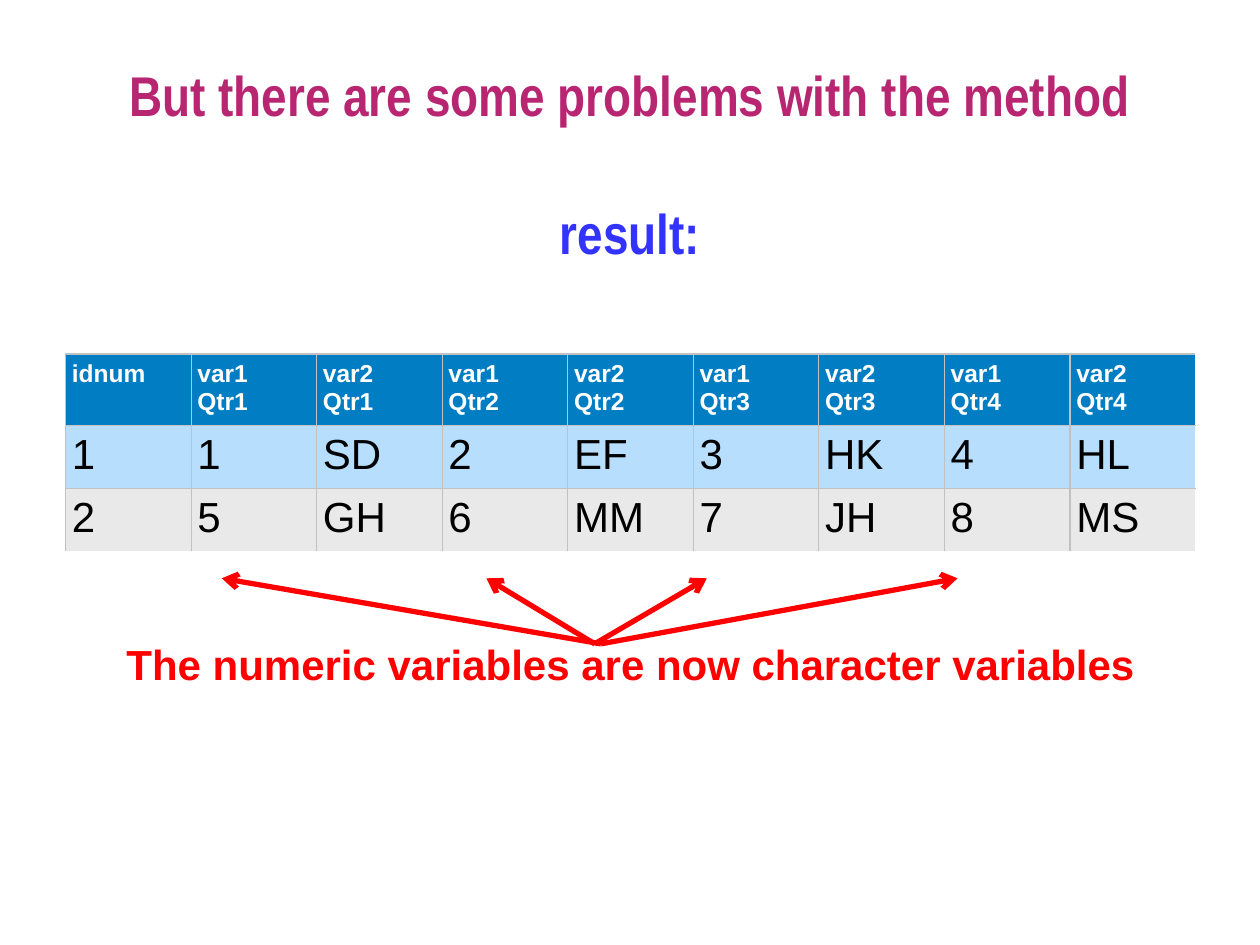
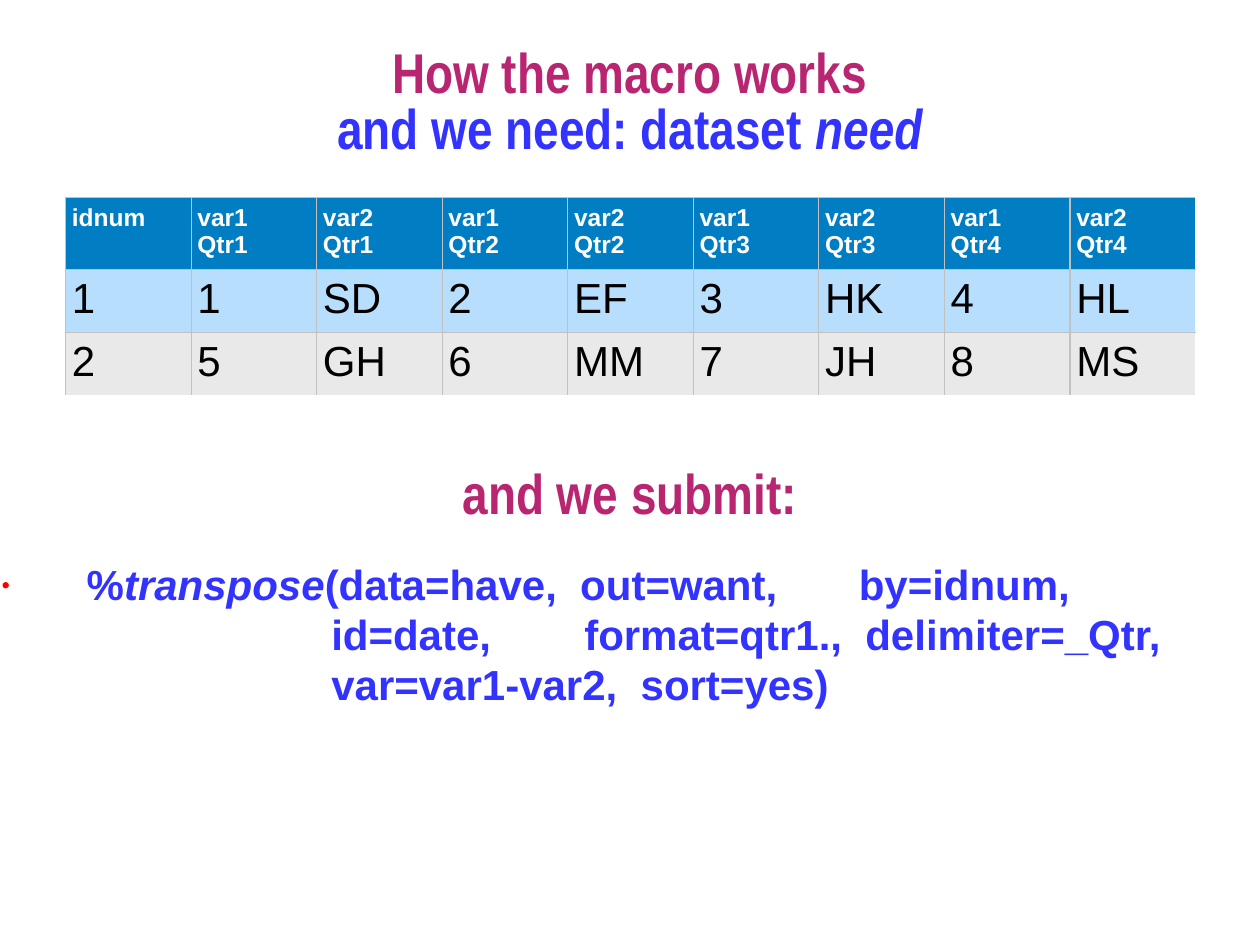
from lxml.etree import SubElement
from pptx import Presentation
from pptx.dml.color import RGBColor
from pptx.enum.shapes import MSO_CONNECTOR, MSO_SHAPE
from pptx.enum.text import MSO_ANCHOR, PP_ALIGN
from pptx.oxml import parse_xml
from pptx.oxml.ns import nsdecls, qn
from pptx.util import Inches, Pt

# Shared look
COLORS = {
    "title": "B82672", "accent": "3333FF", "alert": "FF0000",
    "header": "007DC3", "border": "C1C1C1", "white": "FFFFFF", "black": "000000",
}
ROW_FILLS = ["007DC3", "B8DEFE", "E9E9E9"]
ROW_HEIGHTS = [0.54, 0.48, 0.48]
TABLE_LEFT, TABLE_WIDTH = 0.52, 8.97

HEADING = {"name": "Arial Narrow", "size": Pt(32), "bold": True}
BODY = {"name": "Arial", "size": Pt(24), "bold": True}
HEADER_CELL = {"name": "Arial", "size": Pt(14), "bold": True}
DATA_CELL = {"name": "Arial", "size": Pt(24), "bold": False}

# Content: a run is (text, colour key, extra font values)
QUARTERS = ["Qtr1", "Qtr2", "Qtr3", "Qtr4"]
TABLE_ROWS = [
    ["idnum"] + [f"{name}\n{quarter}" for quarter in QUARTERS for name in ("var1", "var2")],
    ["1", "1", "SD", "2", "EF", "3", "HK", "4", "HL"],
    ["2", "5", "GH", "6", "MM", "7", "JH", "8", "MS"],
]

PROBLEM_TITLE = [[("But there are some problems with the method", "title", {})]]
RESULT_HEADING = [[("result:", "accent", {})]]
CAPTION = [[("The numeric variables are now character variables", "alert", {})]]
ARROWS = [(4.77, 1.76), (4.72, 3.86), (4.72, 5.61), (4.77, 7.6)]  # start x, tip x
ARROW_START_Y, ARROW_TIP_Y = 5.11, 4.59

MACRO_TITLE = [
    [("How the macro works", "title", {})],
    [("and we need: dataset ", "accent", {}), ("need", "accent", {"italic": True})],
]
SUBMIT_HEADING = [[("and we submit:", "title", {})]]
CODE_INDENT = " " * 21
MACRO_CALL = [
    [("%", "accent", {}), ("transpose", "accent", {"italic": True}),
     ("(data=have,  out=want,       by=idnum,", "accent", {})],
    [(CODE_INDENT + "id=date,        format=qtr1.,  delimiter=_Qtr,", "accent", {})],
    [(CODE_INDENT + "var=var1-var2,  sort=yes)", "accent", {})],
]


def rgb(key):
    return RGBColor.from_string(COLORS.get(key, key))


def apply_font(font, color, values):
    for name, value in values.items():
        setattr(font, name, value)
    font.color.rgb = rgb(color)


def write_text(frame, lines, style, paragraph_format):
    frame.word_wrap = True
    frame.vertical_anchor = MSO_ANCHOR.TOP
    for index, runs in enumerate(lines):
        paragraph = frame.paragraphs[0] if index == 0 else frame.add_paragraph()
        for name, value in paragraph_format.items():
            setattr(paragraph, name, value)
        for text, color, extra in runs:
            run = paragraph.add_run()
            run.text = text
            apply_font(run.font, color, {**style, **extra})


def add_heading(slide, lines, top, height):
    box = slide.shapes.add_textbox(0, Inches(top), Inches(10), Inches(height))
    write_text(box.text_frame, lines, HEADING,
               {"alignment": PP_ALIGN.CENTER, "line_spacing": 0.83})


def add_filled_shape(slide, preset, place, fill):
    shape = slide.shapes.add_shape(preset, *map(Inches, place))
    shape.shadow.inherit = False
    shape.fill.solid()
    shape.fill.fore_color.rgb = rgb(fill)
    shape.line.fill.background()
    return shape


def set_borders(cell, sides):
    properties = cell._tc.get_or_add_tcPr()
    for index, side in enumerate(sides):
        properties.insert(index, parse_xml(
            f'<a:ln{side} {nsdecls("a")} w="9525"><a:solidFill>'
            f'<a:srgbClr val="{COLORS["border"]}"/></a:solidFill></a:ln{side}>'))


def add_data_table(slide, top):
    row_count, column_count = len(TABLE_ROWS), len(TABLE_ROWS[0])
    table = slide.shapes.add_table(
        row_count, column_count, Inches(TABLE_LEFT), Inches(top),
        Inches(TABLE_WIDTH), Inches(sum(ROW_HEIGHTS))).table
    table.first_row = table.horz_banding = False
    for column in table.columns:
        column.width = Inches(TABLE_WIDTH / column_count)
    for r, values in enumerate(TABLE_ROWS):
        table.rows[r].height = Inches(ROW_HEIGHTS[r])
        style, color = (DATA_CELL, "black") if r else (HEADER_CELL, "white")
        for c, value in enumerate(values):
            cell = table.cell(r, c)
            for side in ("left", "right", "top", "bottom"):
                setattr(cell, f"margin_{side}", Inches(0.05))
            cell.fill.solid()
            cell.fill.fore_color.rgb = rgb(ROW_FILLS[r])
            lines = [[(line, color, {})] for line in value.split("\n")]
            write_text(cell.text_frame, lines, style, {})
            # The table's right and bottom edges stay open
            sides = ["L"] + ["R"] * (c < column_count - 1) + ["T"] + ["B"] * (r < row_count - 1)
            set_borders(cell, sides)


def add_arrow(slide, start_x, tip_x):
    arrow = slide.shapes.add_connector(
        MSO_CONNECTOR.STRAIGHT, Inches(start_x), Inches(ARROW_START_Y),
        Inches(tip_x), Inches(ARROW_TIP_Y))
    arrow.line.color.rgb = rgb("alert")
    arrow.line.width = Pt(3)
    SubElement(arrow.line._get_or_add_ln(), qn("a:tailEnd"), type="arrow")
    SubElement(arrow._element.spPr, qn("a:effectLst"))


def build_problem_slide(slide):
    add_heading(slide, RESULT_HEADING, 1.62, 0.61)
    add_data_table(slide, 2.81)
    add_heading(slide, PROBLEM_TITLE, 0.52, 0.61)
    caption = add_filled_shape(slide, MSO_SHAPE.RECTANGLE, (0.8, 5.02, 8.41, 0.5), "white")
    write_text(caption.text_frame, CAPTION, BODY, {"alignment": PP_ALIGN.CENTER})
    for start_x, tip_x in ARROWS:
        add_arrow(slide, start_x, tip_x)


def build_macro_slide(slide):
    add_heading(slide, MACRO_TITLE, 0.34, 0.98)
    add_data_table(slide, 1.57)
    add_heading(slide, SUBMIT_HEADING, 3.68, 0.62)
    code = slide.shapes.add_textbox(Inches(0.59), Inches(4.38), Inches(8.74), Inches(1.31))
    code.text_frame.margin_right = 0
    write_text(code.text_frame, MACRO_CALL, BODY, {"alignment": PP_ALIGN.LEFT})
    add_filled_shape(slide, MSO_SHAPE.OVAL, (0.02, 4.62, 0.05, 0.05), "alert")


def main():
    presentation = Presentation()
    presentation.slide_width, presentation.slide_height = Inches(10), Inches(7.5)
    blank = presentation.slide_layouts[6]
    for build in (build_problem_slide, build_macro_slide):
        build(presentation.slides.add_slide(blank))
    presentation.save("out.pptx")


if __name__ == "__main__":
    main()
